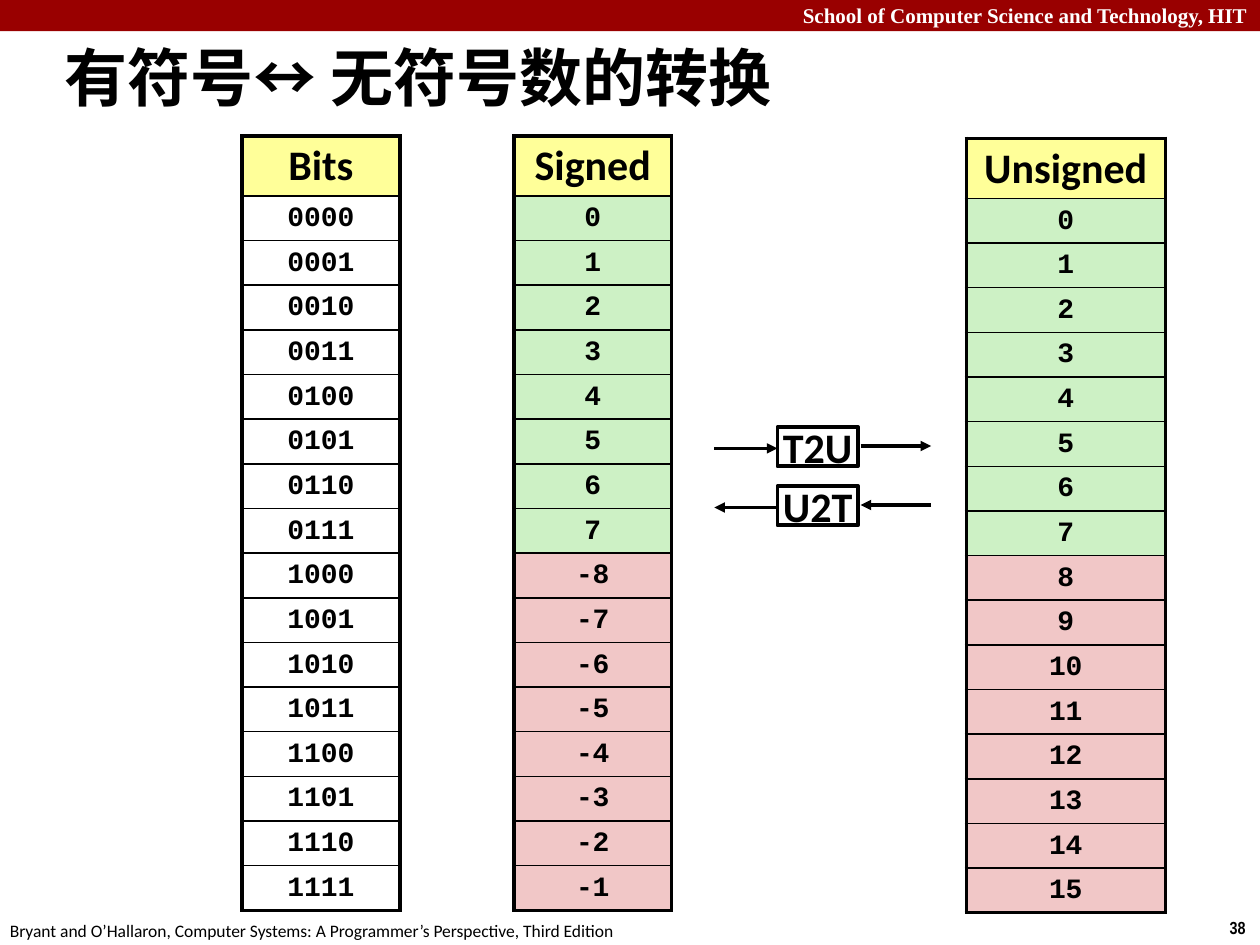
from lxml import etree
from pptx import Presentation
from pptx.dml.color import RGBColor
from pptx.enum.shapes import MSO_CONNECTOR, MSO_SHAPE
from pptx.enum.text import MSO_ANCHOR, PP_ALIGN
from pptx.oxml.ns import qn
from pptx.util import Cm, Pt

LEFT, MID, RIGHT = PP_ALIGN.LEFT, PP_ALIGN.CENTER, PP_ALIGN.RIGHT
TOP, CENTER = MSO_ANCHOR.TOP, MSO_ANCHOR.MIDDLE
RECT, LINE = MSO_SHAPE.RECTANGLE, MSO_CONNECTOR.STRAIGHT

THEME = {
    "black": "000000", "white": "FFFFFF", "band": "990000",
    "head": "FFFF99", "same": "CDF1C5", "diff": "F1C7C7",
    "title": ("Calibri", 36, True), "label": ("Calibri", 24, True),
    "digit": ("Courier New", 16, True), "school": ("Times New Roman", 12, True),
    "page": ("Arial Narrow", 10, True), "foot": ("Calibri", 10, False),
    "thick": 2.25, "thin": 1, "arrow": 2,
}

# Content
TITLE = "有符号↔ 无符号数的转换"
# text, style, colour, alignment, wrap, (left, top, width, height) in cm
NOTES = [
    ("School of Computer Science and Technology, HIT", "school", "white",
     RIGHT, True, (0, -0.08, 25.4, 0.76)),
    ("38", "page", "black", LEFT, False, (24.54, 18.36, 0.86, 0.69)),
    ("Bryant and O’Hallaron, Computer Systems: A Programmer’s Perspective, "
     "Third Edition", "foot", "black", LEFT, False, (-0.05, 18.42, 12.9, 0.69)),
]
# heading, values, fills of the two halves, left, top, width in cm
TABLES = [
    ("Signed", [*range(8), *range(-8, 0)], ("same", "diff"), 10.36, 2.74, 3.18),
    ("Unsigned", range(16), ("same", "diff"), 19.48, 2.79, 4.01),
    ("Bits", [f"{n:04b}" for n in range(16)], ("white", "white"), 4.88, 2.74, 3.18),
]
# name, top in cm, arrows point right
MAPS = [("U2T", 9.8, False), ("T2U", 8.61, True)]
HEAD_H, ROW_H = 1.21, 0.9
BOX_X, BOX_W, BOX_H = 15.67, 1.63, 0.79
# left end, right end, drop below the box top in cm
ARROWS = [(14.4, 15.67, 0.43), (17.35, 18.77, 0.38)]


def color(name):
    return RGBColor.from_string(THEME[name])


def write(frame, text, style, ink="black", align=MID):
    para = frame.paragraphs[0]
    para.text = text
    para.alignment = align
    font = para.font
    font.name, size, font.bold = THEME[style]
    font.size = Pt(size)
    font.color.rgb = color(ink)
    return para


def edge(cell, side, width):
    line = etree.SubElement(cell._tc.get_or_add_tcPr(), qn(f"a:ln{side}"),
                            w=str(Pt(width)))
    fill = etree.SubElement(line, qn("a:solidFill"))
    etree.SubElement(fill, qn("a:srgbClr"), val=THEME["black"])


def add_list(shapes, head, values, fills, left, top, width):
    rows = [(head, "label", "head")]
    half = len(values) // 2
    rows += [(str(v), "digit", fills[i >= half]) for i, v in enumerate(values)]
    high = HEAD_H + ROW_H * len(values)
    table = shapes.add_table(len(rows), 1, Cm(left), Cm(top),
                             Cm(width), Cm(high)).table
    table.first_row = table.horz_banding = False
    last = len(rows) - 1
    for i, (text, style, fill) in enumerate(rows):
        table.rows[i].height = Cm(ROW_H if i else HEAD_H)
        cell = table.cell(i, 0)
        cell.margin_left = cell.margin_right = Cm(0.13)
        cell.margin_top = cell.margin_bottom = Cm(0.1)
        cell.vertical_anchor = CENTER
        write(cell.text_frame, text, style).line_spacing = 0.95
        thick, thin = THEME["thick"], THEME["thin"]
        edge(cell, "L", thick)
        edge(cell, "R", thick)
        edge(cell, "T", thin if i else thick)
        edge(cell, "B", thick if i == last else thin)
        cell.fill.solid()
        cell.fill.fore_color.rgb = color(fill)


def add_box(shapes, fill, left, top, width, height):
    box = shapes.add_shape(RECT, Cm(left), Cm(top), Cm(width), Cm(height))
    box.shadow.inherit = False
    box.fill.solid()
    box.fill.fore_color.rgb = color(fill)
    box.line.fill.background()
    return box


def add_arrow(shapes, start, end, y):
    arrow = shapes.add_connector(LINE, Cm(start), Cm(y), Cm(end), Cm(y))
    arrow.line.color.rgb = color("black")
    arrow.line.width = Pt(THEME["arrow"])
    etree.SubElement(arrow.line._get_or_add_ln(), qn("a:tailEnd"), type="triangle")
    etree.SubElement(arrow._element.spPr, qn("a:effectLst"))


def add_map(shapes, name, top, right):
    group = shapes.add_group_shape().shapes
    box = add_box(group, "white", BOX_X, top, BOX_W, BOX_H)
    box.line.color.rgb = color("black")
    box.line.width = Pt(THEME["arrow"])
    frame = box.text_frame
    frame.word_wrap = False
    frame.vertical_anchor = CENTER
    write(frame, name, "label")
    for start, end, drop in ARROWS:
        ends = (start, end) if right else (end, start)
        add_arrow(group, *ends, top + drop)


def main():
    deck = Presentation()
    deck.slide_width, deck.slide_height = Cm(25.4), Cm(19.05)
    slide = deck.slides.add_slide(deck.slide_layouts[5])
    shapes = slide.shapes

    # Top band, page number and footer
    add_box(shapes, "band", 0, 0, 25.4, 0.63)
    for text, style, ink, align, wrap, place in NOTES:
        frame = shapes.add_textbox(*map(Cm, place)).text_frame
        frame.word_wrap = wrap
        write(frame, text, style, ink, align)

    # Title
    title = shapes.title
    title.left, title.top, title.width, title.height = map(
        Cm, (1.12, 0.69, 14.86, 1.68))
    frame = title.text_frame
    frame.margin_left = frame.margin_right = Cm(0.18)
    frame.margin_top = frame.margin_bottom = Cm(0.08)
    frame.word_wrap = False
    frame.vertical_anchor = TOP
    write(frame, TITLE, "title", align=LEFT)

    # Number lists and the mappings between them
    for item in TABLES:
        add_list(shapes, *item)
    for item in MAPS:
        add_map(shapes, *item)
    deck.save("out.pptx")


if __name__ == "__main__":
    main()
